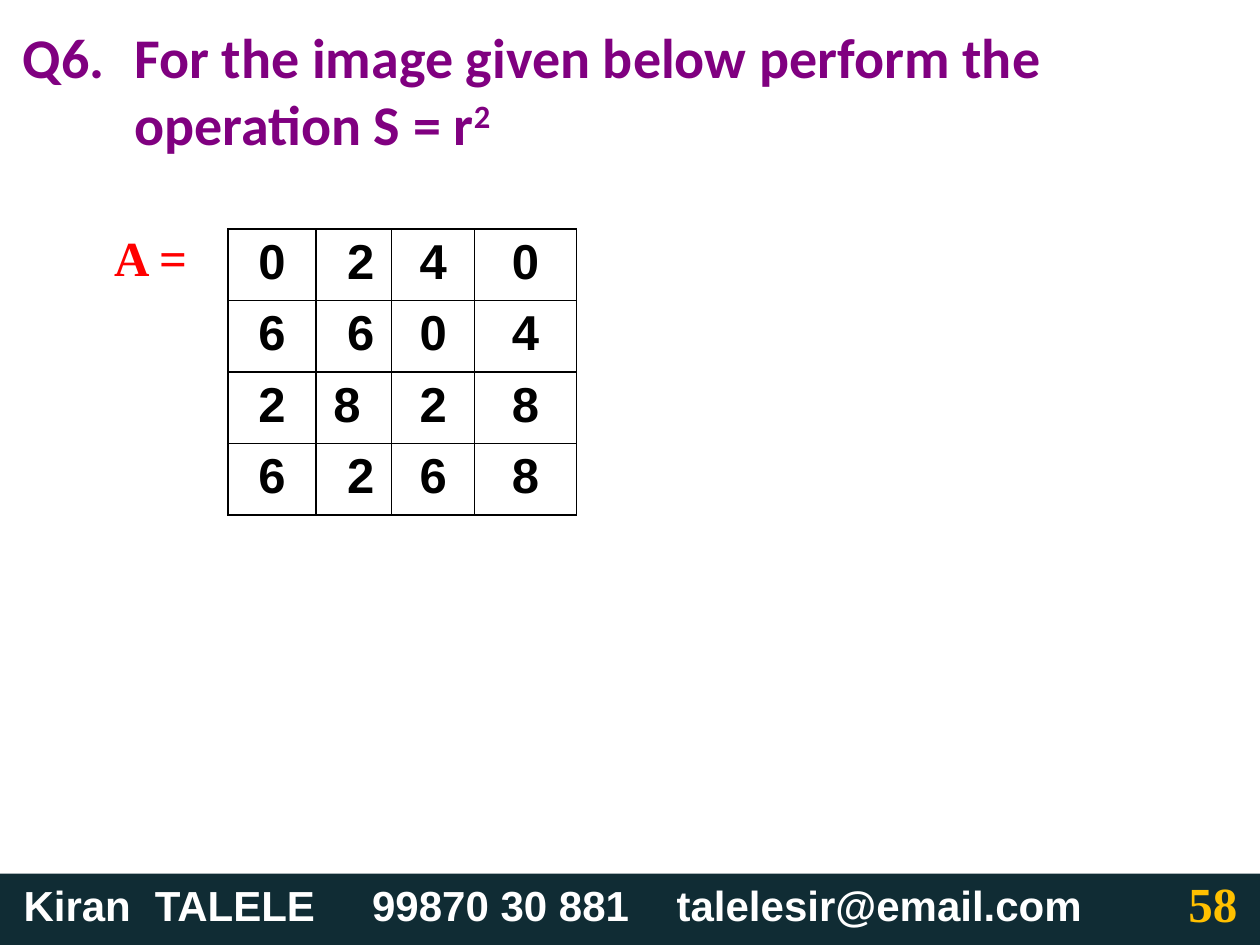
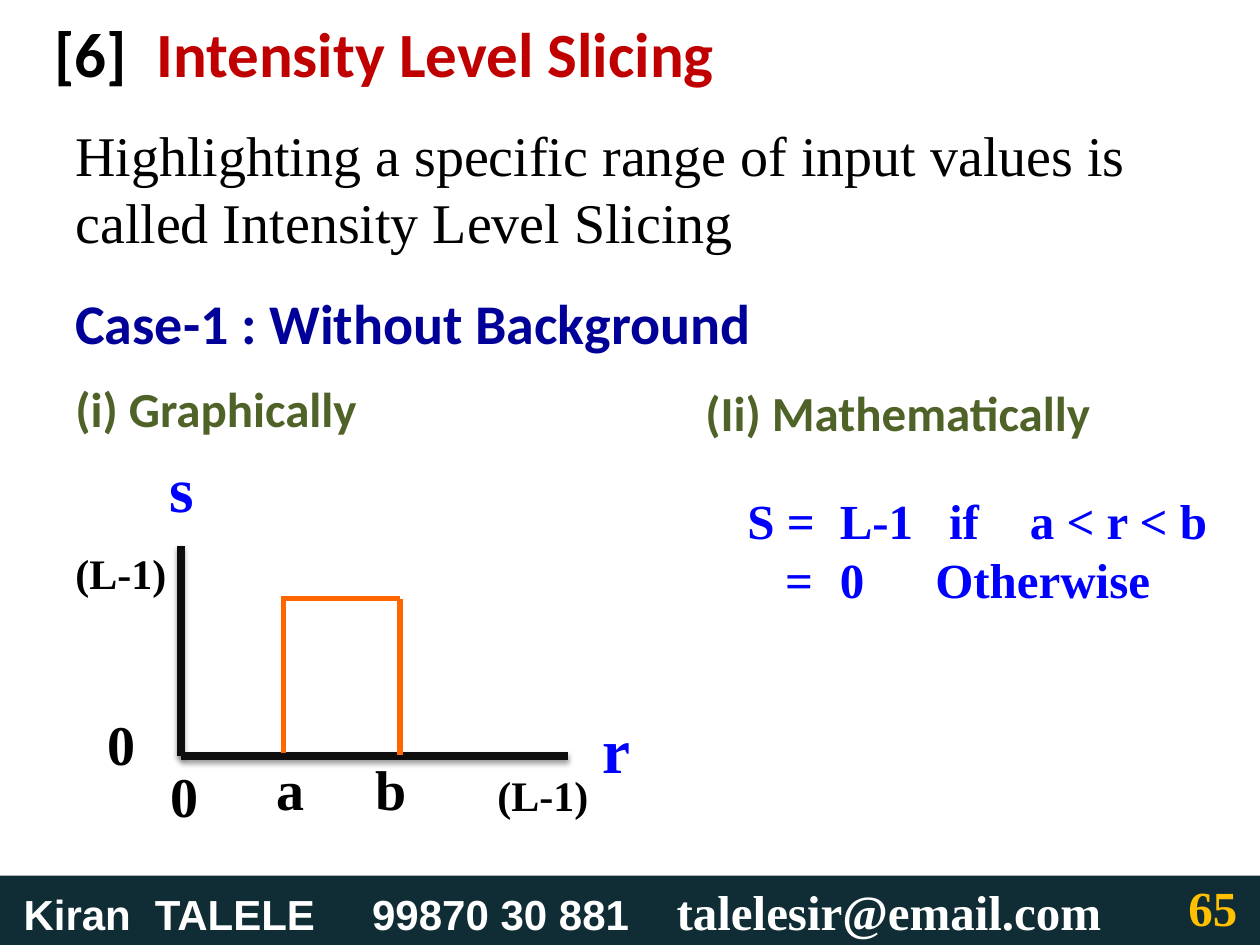
from lxml.etree import SubElement
from pptx import Presentation
from pptx.dml.color import RGBColor
from pptx.enum.shapes import MSO_CONNECTOR as CONN, MSO_SHAPE as SHAPE
from pptx.enum.text import MSO_ANCHOR as ANCHOR, PP_ALIGN as ALIGN
from pptx.oxml import parse_xml
from pptx.oxml.ns import nsdecls, qn
from pptx.util import Inches, Pt

WIDTH, HEIGHT = Inches(10), Inches(7.5)
COLS, ROWS = 120, 90
SANS, SERIF, HEAD = "Arial", "Times New Roman", "Calibri"
BLACK, WHITE, BLUE, RED = "000000", "FFFFFF", "0000FF", "FF0000"
PURPLE, CRIMSON, NAVY, OLIVE = "800080", "C00000", "000099", "4F6228"
BAND, GOLD, AXIS, PULSE = "102C34", "FFC000", "0D0D0D", "FF6600"
EMAIL = "talelesir@email.com"
MATRIX = [["0", " 2", "4", "0"],
          ["6", " 6", "0", "4"],
          ["2", "8 ", "2", "8"],
          ["6", " 2", "6", "8"]]


def rgb(color):
    """Turn a hex string into a colour."""
    return RGBColor.from_string(color)


def col(n):
    """Length of n grid columns."""
    return round(WIDTH * n / COLS)


def row(n):
    """Length of n grid rows."""
    return round(HEIGHT * n / ROWS)


def box(x, y, w, h):
    """Grid cells as left, top, width and height."""
    return col(x), row(y), col(w), row(h)


def set_font(font, size=None, name=None, color=None, bold=None):
    """Set the given properties of a font."""
    if size:
        font.size = Pt(size)
    if name:
        font.name = name
    if color:
        font.color.rgb = rgb(color)
    if bold is not None:
        font.bold = bold


def add_tabs(p, stops):
    """Give a paragraph tab stops, in grid columns."""
    if stops:
        tabs = SubElement(p._p.get_or_add_pPr(), qn("a:tabLst"))
        for stop in stops:
            SubElement(tabs, qn("a:tab"), pos=str(col(stop)), algn="l")


def write(p, runs, size, name, color, bold=True, tabs=()):
    """Fill a paragraph with (text, font overrides) runs."""
    add_tabs(p, tabs)
    set_font(p.font, size, name, color, bold)
    for text, changes in runs:
        r = p.add_run()
        r.text = text
        set_font(r.font, **changes)


def add_text(s, area, runs, size, name, color, bold=True, tabs=(),
             anchor=ANCHOR.TOP):
    """Add a one-paragraph text box and return its paragraph."""
    tf = s.shapes.add_textbox(*box(*area)).text_frame
    tf.word_wrap = True
    tf.vertical_anchor = anchor
    if isinstance(runs, str):
        runs = [(runs, {})]
    write(tf.paragraphs[0], runs, size, name, color, bold, tabs)
    return tf.paragraphs[0]


def add_heading(s, area, runs, size, color, tabs=()):
    """Add a vertically centred bold heading."""
    return add_text(s, area, runs, size, HEAD, color, tabs=tabs,
                    anchor=ANCHOR.MIDDLE)


def add_footer(s, top, number, number_top, email_font):
    """Add the contact band and the page number."""
    sp = s.shapes.add_shape(SHAPE.RECTANGLE, *box(0, top, COLS, 7))
    sp.shadow.inherit = False
    sp.fill.solid()
    sp.fill.fore_color.rgb = rgb(BAND)
    sp.line.fill.background()
    tf = sp.text_frame
    tf.vertical_anchor = ANCHOR.TOP
    tf.margin_left = col(2.25)
    p = tf.paragraphs[0]
    p.alignment = ALIGN.LEFT
    write(p, [("Kiran\tTALELE\t99870 30 881\t", {}), (EMAIL, email_font)],
          24, SANS, WHITE, tabs=(12.5, 33.2, 62.2))
    add_text(s, (112, number_top, 8, 7.3), number, 28, SERIF, GOLD)


def add_line(s, start, end, color, width, shadow=False):
    """Add a straight line between two grid points."""
    (x1, y1), (x2, y2) = start, end
    line = s.shapes.add_connector(CONN.STRAIGHT, col(x1), row(y1),
                                  col(x2), row(y2))
    line.line.color.rgb = rgb(color)
    line.line.width = Pt(width)
    effects = SubElement(line._element.spPr, qn("a:effectLst"))
    if shadow:
        outer = SubElement(effects, qn("a:outerShdw"), blurRad=str(Pt(3.1)),
                           dist=str(Pt(1.6)), dir="5400000", rotWithShape="0")
        black = SubElement(outer, qn("a:srgbClr"), val=BLACK)
        SubElement(black, qn("a:alpha"), val="38000")


def add_borders(cell):
    """Draw a thin black border round a cell."""
    tcPr = cell._tc.get_or_add_tcPr()
    for i, side in enumerate("LRTB"):
        tcPr.insert(i, parse_xml(
            f'<a:ln{side} {nsdecls("a")} w="{Pt(1)}"><a:solidFill>'
            f'<a:srgbClr val="{BLACK}"/></a:solidFill></a:ln{side}>'))


def add_matrix(s, x, y, widths, height, values):
    """Add a bordered table of centred numbers."""
    area = box(x, y, sum(widths), height * len(values))
    table = s.shapes.add_table(len(values), len(widths), *area).table
    table.first_row = table.horz_banding = False
    for column, width in zip(table.columns, widths):
        column.width = col(width)
    for i, numbers in enumerate(values):
        table.rows[i].height = row(height)
        for j, number in enumerate(numbers):
            cell = table.cell(i, j)
            cell.fill.background()
            add_borders(cell)
            p = cell.text_frame.paragraphs[0]
            p.alignment = ALIGN.CENTER
            write(p, [(number, {})], 28, SANS, BLACK)


def add_question(s):
    """Build the squaring question with its image matrix."""
    p = add_heading(s, (1, 1, 111, 15), [
        ("Q6.\tFor the image given below perform the operation S = r", {}),
        ("2", {})], 32, PURPLE)
    pPr = p._p.get_or_add_pPr()
    pPr.set("marL", str(col(10.6)))
    pPr.set("indent", str(-col(10.6)))
    p.runs[-1]._r.get_or_add_rPr().set("baseline", "30000")
    add_footer(s, 83.2, "58", 82.6, {})
    add_text(s, (9.7, 21.1, 10.4, 6.8), "A =", 28, SERIF, RED,
             anchor=ANCHOR.MIDDLE)
    add_matrix(s, 21.7, 21.8, (8.4, 7.2, 7.9, 9.7), 6.8, MATRIX)


def add_graph(s):
    """Draw the slicing graph with its labels."""
    for area, text, size, color in [
            ((9.1, 67, 7, 6.4), "0", 32, BLACK),
            ((56.2, 67.1, 7, 7), "r", 36, BLUE),
            ((15, 42.2, 7, 7), "s", 36, BLUE),
            ((6, 51.6, 13, 5), "(L-1)", 24, BLACK),
            ((15.1, 71.9, 7, 6.4), "0", 32, BLACK),
            ((46.2, 72.7, 13, 5), "(L-1)", 24, BLACK)]:
        add_text(s, area, text, size, SERIF, color)
    add_text(s, (25.2, 71.3, 18, 7.7), "a\tb", 32, SERIF, BLACK, tabs=(9.4,))
    origin = (17.2, 72)
    for start, end in [((17.2, 52), origin), (origin, (54.1, 72))]:
        add_line(s, start, end, AXIS, 4.5, shadow=True)
    a, b, peak = 27, 38.1, 57
    for start, end in [((a, peak), (b, peak)),
                       ((a, peak - 0.2), (a, 71.7)),
                       ((b, peak), (b, 71.9))]:
        add_line(s, start, end, PULSE, 3)


def add_formula(s):
    """Add the two-line definition of S."""
    p = add_text(s, (70, 46.1, 50, 12.5), "S =\tL-1\tif\ta < r < b", 28,
                 SERIF, BLUE, tabs=(8.8, 19.2, 26.9))
    write(p._parent.add_paragraph(), [("\t=\t0\tOtherwise", {})], 28, SERIF,
          BLUE, tabs=(3.6, 8.8, 17.9))


def add_slicing(s):
    """Build the intensity level slicing slide."""
    add_heading(s, (4, -1, 105, 12), [
        ("[6]\t", {}), ("Intensity Level Slicing", {"color": CRIMSON})],
        36, BLACK, tabs=(9.7,))
    add_text(s, (6, 10.9, 105, 14.2),
             "Highlighting a specific range of input values is called "
             "Intensity Level Slicing", 32, SERIF, BLACK, bold=False)
    add_footer(s, 83.4, "65", 83, {"size": 28, "name": SERIF})
    add_heading(s, (6, 26, 84, 9.4), "Case-1 : Without Background", 32, NAVY)
    add_heading(s, (66, 34, 41, 10.4), "(Ii) Mathematically", 28, OLIVE)
    add_heading(s, (6, 33.6, 41, 10.4), "(i) Graphically", 28, OLIVE)
    add_graph(s)
    add_formula(s)


def main():
    """Build and save both slides."""
    prs = Presentation()
    prs.slide_width, prs.slide_height = WIDTH, HEIGHT
    for build in (add_question, add_slicing):
        build(prs.slides.add_slide(prs.slide_layouts[6]))
    prs.save("out.pptx")


if __name__ == "__main__":
    main()
